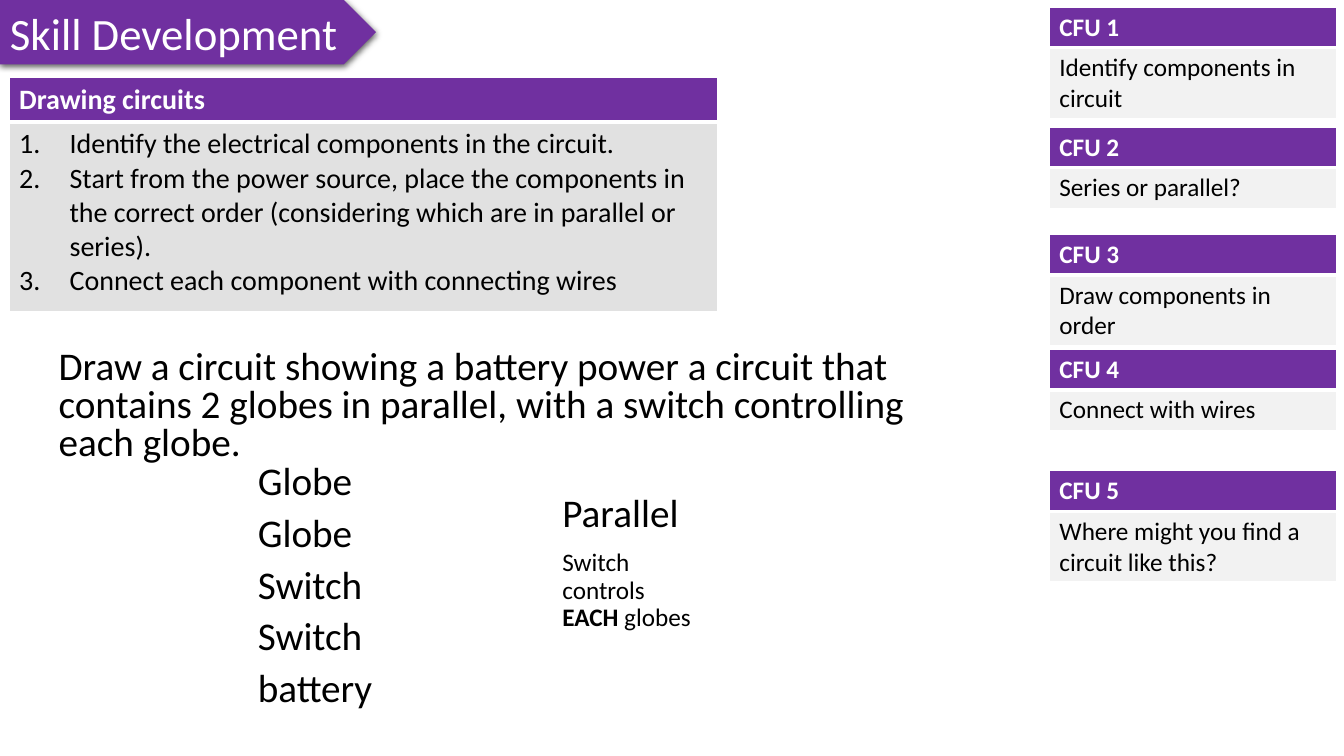
"""Build the Skill Development slide on drawing circuits."""
from dataclasses import dataclass

import lxml.etree
import pptx
import pptx.dml.color
import pptx.enum.shapes
import pptx.enum.text
import pptx.oxml
import pptx.oxml.ns
import pptx.util

Pt = pptx.util.Pt
RGBColor = pptx.dml.color.RGBColor
qn = pptx.oxml.ns.qn

PURPLE = RGBColor(0x70, 0x30, 0xA0)
WHITE = RGBColor(0xFF, 0xFF, 0xFF)
BLACK = RGBColor(0, 0, 0)
GREY = RGBColor(0xE1, 0xE1, 0xE1)
PALE_GREY = RGBColor(0xF2, 0xF2, 0xF2)
FONT_NAME = "Calibri"
NUMBER_INDENT = Pt(36)
SHADOW = (
    '<a:outerShdw xmlns:a="http://schemas.openxmlformats.org/drawingml/2006/main" '
    'blurRad="57150" dist="19050" dir="5400000" algn="ctr" rotWithShape="0">'
    '<a:srgbClr val="000000"><a:alpha val="63000"/></a:srgbClr></a:outerShdw>'
)


@dataclass
class Card:
    """A heading row above a row of body text."""

    heading: str
    lines: list[str]
    left: float
    top: float
    width: float
    row_heights: tuple[float, float]
    size: float
    body_fill: RGBColor
    numbered: bool = False


@dataclass
class Note:
    """A free text box of paragraphs, each a list of (text, bold) runs with one size."""

    left: float
    top: float
    width: float
    height: float
    line_spacing: float
    paragraphs: list[tuple[float, list[tuple[str, bool]]]]


def check_card(number: int, text: str, top: float, body_height: float) -> Card:
    """Describe one check-for-understanding card in the right column."""
    return Card(f"CFU {number}", [text], 749.5, top, 205.2, (29, body_height), 18, PALE_GREY)


ONE_LINE, TWO_LINES = 29.2, 50.4
CARDS = [
    Card(
        "Drawing circuits",
        [
            "Identify the electrical components in the circuit.",
            "Start from the power source, place the components in the correct order "
            "(considering which are in parallel or series).",
            "Connect each component with connecting wires",
        ],
        6.5, 55.6, 506.2, (31.6, 135.4), 20, GREY, True,
    ),
    check_card(1, "Identify components in circuit", 5, TWO_LINES),
    check_card(2, "Series or parallel?", 90.7, ONE_LINE),
    check_card(3, "Draw components in order", 167.5, TWO_LINES),
    check_card(4, "Connect with wires", 249.5, ONE_LINE),
    check_card(5, "Where might you find a circuit like this?", 336.3, TWO_LINES),
]
TASK = (
    "Draw a circuit showing a battery power a circuit that contains 2 globes in parallel, "
    "with a switch controlling each globe."
)
COMPONENTS = ["Globe", "Globe", "Switch", "Switch", "battery"]
NOTES = [
    Note(34.8, 247, 629.3, 96.5, 0.8, [(28, [(TASK, False)])]),
    Note(177.1, 329, 118.1, 195.8, 0.8, [(28, [(name, False)]) for name in COMPONENTS]),
    Note(
        394.6, 349.2, 116.6, 195.8, 0.9,
        [
            (28, [("Parallel", False)]),
            (18, [("Switch controls ", False), ("EACH", True), (" globes", False)]),
        ],
    ),
]


def set_font(paragraph, size: float, color: RGBColor) -> None:
    """Set the font shared by all runs of a paragraph."""
    paragraph.font.name = FONT_NAME
    paragraph.font.size = Pt(size)
    paragraph.font.color.rgb = color


def add_number(paragraph) -> None:
    """Number a paragraph with a hanging indent."""
    properties = paragraph._p.get_or_add_pPr()
    properties.set("marL", str(NUMBER_INDENT))
    properties.set("indent", str(-NUMBER_INDENT))
    lxml.etree.SubElement(properties, qn("a:buAutoNum"), type="arabicPeriod")


def set_borders(cell, top: float, bottom: float) -> None:
    """Give a cell white borders."""
    properties = cell._tc.get_or_add_tcPr()
    widths = {"L": 1, "R": 1, "T": top, "B": bottom}
    for position, (side, width) in enumerate(widths.items()):
        line = properties.makeelement(qn(f"a:ln{side}"), {"w": str(Pt(width))})
        fill = lxml.etree.SubElement(line, qn("a:solidFill"))
        lxml.etree.SubElement(fill, qn("a:srgbClr"), val=str(WHITE))
        properties.insert(position, line)


def add_card(slide, card: Card) -> None:
    """Draw a card as a two-row table."""
    frame = slide.shapes.add_table(
        2, 1, Pt(card.left), Pt(card.top), Pt(card.width), Pt(sum(card.row_heights))
    )
    table = frame.table
    rows = [
        ([card.heading], PURPLE, WHITE, True, 1, 3),
        (card.lines, card.body_fill, BLACK, False, 3, 1),
    ]
    for index, (lines, fill, color, bold, top, bottom) in enumerate(rows):
        table.rows[index].height = Pt(card.row_heights[index])
        cell = table.cell(index, 0)
        cell.fill.solid()
        cell.fill.fore_color.rgb = fill
        set_borders(cell, top, bottom)
        cell.text = "\n".join(lines)
        for paragraph in cell.text_frame.paragraphs:
            if card.numbered and not bold:
                add_number(paragraph)
            set_font(paragraph, card.size, color)
            paragraph.font.bold = bold


def add_note(slide, note: Note) -> None:
    """Draw a free text box."""
    box = slide.shapes.add_textbox(Pt(note.left), Pt(note.top), Pt(note.width), Pt(note.height))
    text_frame = box.text_frame
    text_frame.word_wrap = True
    for index, (size, runs) in enumerate(note.paragraphs):
        paragraph = text_frame.add_paragraph() if index else text_frame.paragraphs[0]
        paragraph.line_spacing = note.line_spacing
        if index:
            paragraph.space_before = Pt(10)
        set_font(paragraph, size, BLACK)
        for text, bold in runs:
            run = paragraph.add_run()
            run.text = text
            if bold:
                run.font.bold = True


def add_title(slide) -> None:
    """Draw the title arrow with its soft shadow."""
    shape = slide.shapes.add_shape(
        pptx.enum.shapes.MSO_SHAPE.PENTAGON, Pt(0), Pt(0), Pt(268.6), Pt(46.1)
    )
    shape.fill.solid()
    shape.fill.fore_color.rgb = PURPLE
    shape.line.fill.background()
    shape.shadow.inherit = False
    effects = shape._element.spPr.find(qn("a:effectLst"))
    effects.append(pptx.oxml.parse_xml(SHADOW))
    shape.text_frame.word_wrap = False
    paragraph = shape.text_frame.paragraphs[0]
    paragraph.text = "Skill Development"
    paragraph.alignment = pptx.enum.text.PP_ALIGN.LEFT
    set_font(paragraph, 32, WHITE)


def main() -> None:
    """Build and save the slide."""
    presentation = pptx.Presentation()
    presentation.slide_width, presentation.slide_height = Pt(960), Pt(540)
    slide = presentation.slides.add_slide(presentation.slide_layouts[6])
    add_title(slide)
    for note in NOTES:
        add_note(slide, note)
    for card in CARDS:
        add_card(slide, card)
    presentation.save("out.pptx")


if __name__ == "__main__":
    main()
